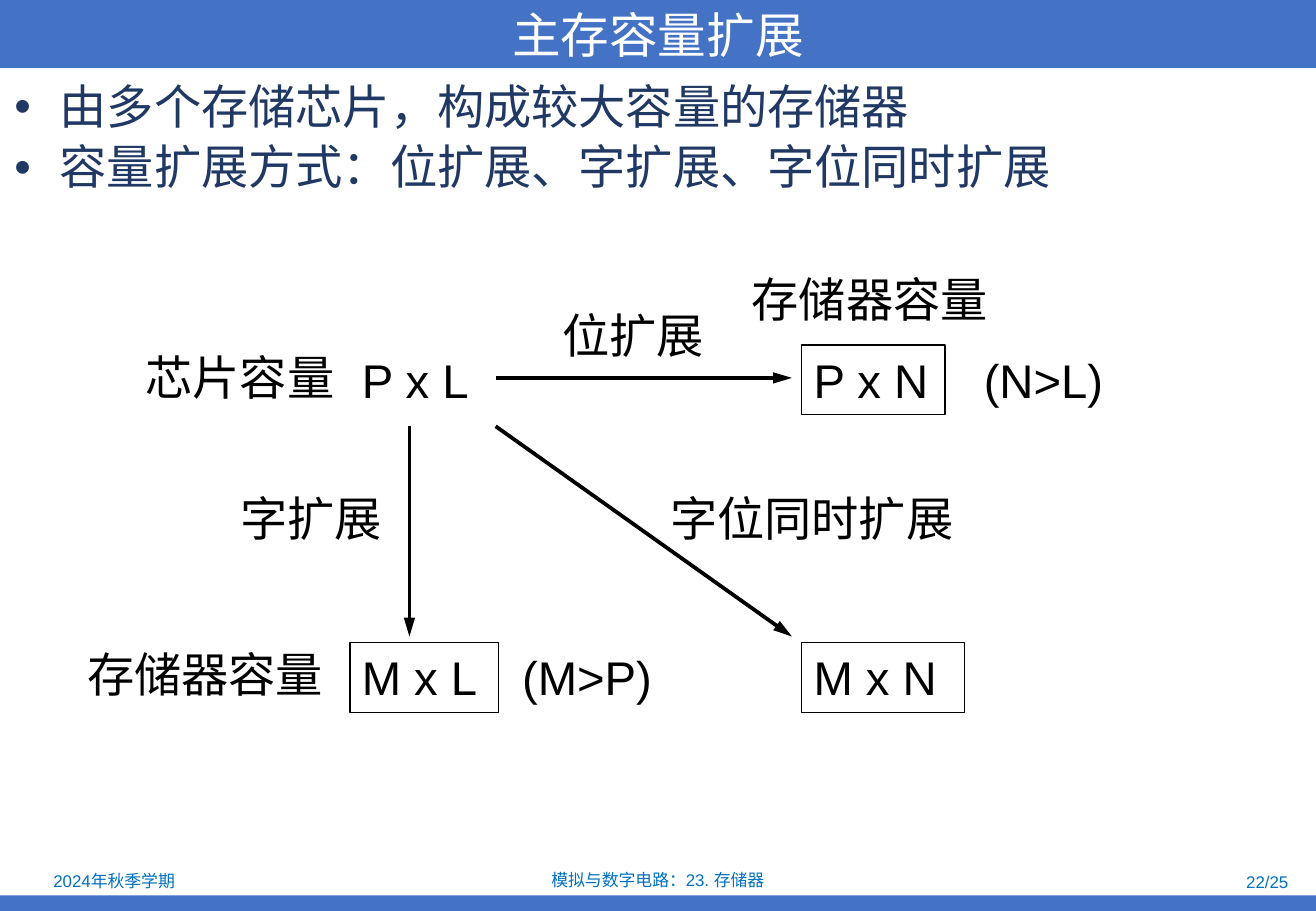
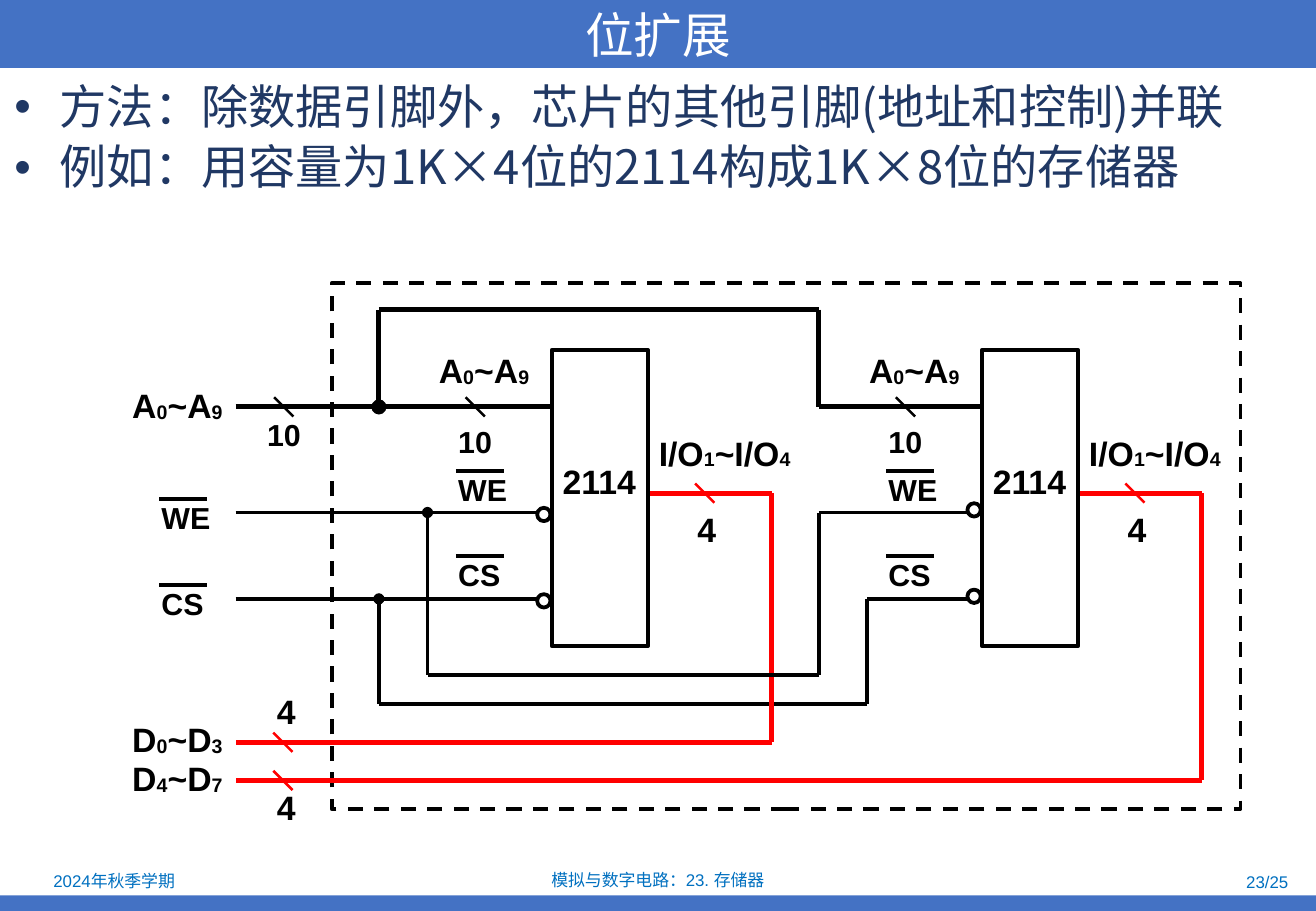
"""Build two lecture slides on extending main memory capacity."""
from itertools import pairwise

from lxml import etree
from pptx import Presentation
from pptx.dml.color import RGBColor
from pptx.enum.dml import MSO_LINE
from pptx.enum.shapes import MSO_CONNECTOR, MSO_SHAPE
from pptx.enum.text import MSO_ANCHOR, MSO_AUTO_SIZE, PP_ALIGN
from pptx.oxml.ns import qn
from pptx.util import Pt

RECT, OVAL = MSO_SHAPE.RECTANGLE, MSO_SHAPE.OVAL
STRAIGHT, DASH = MSO_CONNECTOR.STRAIGHT, MSO_LINE.DASH
TOP, MIDDLE = MSO_ANCHOR.TOP, MSO_ANCHOR.MIDDLE
LEFT, CENTER, RIGHT = PP_ALIGN.LEFT, PP_ALIGN.CENTER, PP_ALIGN.RIGHT
NO_FIT = MSO_AUTO_SIZE.NONE

COLORS = {"band": "4472C4", "footer": "0070C0", "body": "203864",
          "ink": "000000", "data": "FF0000", "paper": "FFFFFF"}
LATIN, CJK = "Arial", "Noto Sans CJK SC"
WIDTH, HEIGHT = 780, 540
TITLE_ONLY = 5
TERM, COURSE, PAGES = "2024年秋季学期", "模拟与数字电路：23. 存储器", 25

CHIP_X = (327, 582)
CHIP_W = 57
BUS_X, IO_REACH = 139.7, 130.3
ADDRESS_Y, WE_Y, CS_Y, IO_Y = 241.2, 303.8, 355, 292.3
LOW_Y, HIGH_Y = 440, 462.6
ADDRESS = ("A", "0", "~A", "9")


def rgb(name):
    """Return the named palette colour."""
    return RGBColor.from_string(COLORS[name])


def style_runs(p, size, color, font=LATIN, bold=False):
    """Format all runs of a paragraph."""
    for r in p.runs:
        r.font.size, r.font.bold, r.font.name = Pt(size), bold, font
        r.font.color.rgb = rgb(color)
        ea = etree.SubElement(r.font._element, qn("a:ea"))
        ea.set("typeface", CJK)


def add_text(s, box, text, size, color="ink", align=LEFT, anchor=TOP,
             bold=False, wrap=False, spacing=None):
    """Add a one-line text box; odd parts of a tuple are lowered."""
    sp = s.shapes.add_textbox(*map(Pt, box))
    tf = sp.text_frame
    tf.word_wrap, tf.vertical_anchor = wrap, anchor
    p = tf.paragraphs[0]
    p.alignment = align
    if spacing:
        p.line_spacing = spacing
    parts = (text,) if isinstance(text, str) else text
    for i, part in enumerate(parts):
        r = p.add_run()
        r.text = part
        if i % 2:
            r.font._element.set("baseline", "-2000")
    style_runs(p, size, color, bold=bold)
    return sp


def add_box(s, box, fill=None, line=None, width=2.25, shape=RECT):
    """Add a preset shape with optional fill and outline."""
    sp = s.shapes.add_shape(shape, *map(Pt, box))
    sp.shadow.inherit = False
    if fill:
        sp.fill.solid()
        sp.fill.fore_color.rgb = rgb(fill)
    else:
        sp.fill.background()
    if line:
        sp.line.color.rgb = rgb(line)
        sp.line.width = Pt(width)
    else:
        sp.line.fill.background()
    return sp


def add_line(s, start, end, color="ink", width=2.25, head=None, tail=None):
    """Add a straight line with optional end marks."""
    sp = s.shapes.add_connector(STRAIGHT, *map(Pt, (*start, *end)))
    sp.line.color.rgb = rgb(color)
    sp.line.width = Pt(width)
    ln = sp.line._get_or_add_ln()
    for tag, mark in (("a:headEnd", head), ("a:tailEnd", tail)):
        if mark:
            end_mark = etree.SubElement(ln, qn(tag))
            end_mark.set("type", mark)
            if mark == "triangle":
                end_mark.set("len", "lg")
    etree.SubElement(sp._element.spPr, qn("a:effectLst"))


def add_wire(s, points, color="ink", width=2.25, dot=False):
    """Join points by straight lines, with a junction dot at the first."""
    for i, (start, end) in enumerate(pairwise(points)):
        add_line(s, start, end, color, width,
                 head="oval" if dot and i == 0 else None)


def add_bullets(s, lines):
    """Add the bulleted text under the title."""
    sp = s.shapes.add_textbox(Pt(1.4), Pt(46), Pt(778), Pt(100))
    tf = sp.text_frame
    tf.word_wrap = True
    tf.text = "\n".join(lines)
    for i, p in enumerate(tf.paragraphs):
        pPr = p._p.get_or_add_pPr()
        pPr.set("marL", str(Pt(27)))
        pPr.set("indent", str(-Pt(27)))
        etree.SubElement(pPr, qn("a:buFont")).set("typeface", LATIN)
        etree.SubElement(pPr, qn("a:buChar")).set("char", "•")
        p.line_spacing = 0.9
        p.space_before = Pt(5.6 if i else 0)
        style_runs(p, 28, "body", CJK)


def add_slide(prs, title, page, bullets):
    """Add a slide with title band, bullets and footer."""
    s = prs.slides.add_slide(prs.slide_layouts[TITLE_ONLY])
    sp = s.shapes.title
    sp.left, sp.top, sp.width, sp.height = map(Pt, (0, 0, WIDTH, 40.3))
    sp.fill.solid()
    sp.fill.fore_color.rgb = rgb("band")
    tf = sp.text_frame
    tf.text = title
    tf.auto_size, tf.vertical_anchor = NO_FIT, MIDDLE
    p = tf.paragraphs[0]
    p.alignment = CENTER
    style_runs(p, 28.8, "paper")
    add_box(s, (0, 530.8, WIDTH, 9.2), fill="band")
    for box, text, align in (
            ((1.4, 513.6, 132.5, 16.6), TERM, CENTER),
            ((266.4, 514.2, 247, 15), COURSE, CENTER),
            ((588.6, 515, 182, 15), f"{page}/{PAGES}", RIGHT)):
        sp = add_text(s, box, text, 10, "footer", align, MIDDLE, wrap=True)
        sp.text_frame.margin_top = sp.text_frame.margin_bottom = 0
    add_bullets(s, bullets)
    return s


def add_expansion_map(s):
    """Draw the three ways from chip capacity to memory capacity."""
    for x, y, w in ((475.2, 204.5, 85), (207.4, 381, 88), (475.2, 381, 96.5)):
        add_box(s, (x, y, w, 41.3), line="ink", width=0.75)
    for start, end in (((293.8, 224), (469.4, 224)),
                       ((242.7, 252.7), (242.7, 377.3)),
                       ((293.8, 252.7), (469.4, 377.3))):
        add_line(s, start, end, tail="triangle")
    for x, y, w, text in (
            (207.4, 204.5, 84, "P x L"), (475.2, 204.5, 90, "P x N"),
            (207.4, 381, 90, "M x L"), (475.2, 381, 96.5, "M x N"),
            (576, 204.5, 96, "(N>L)"), (302.4, 381, 104, "(M>P)"),
            (79.2, 203, 132, "芯片容量"), (326.2, 177.8, 104, "位扩展"),
            (135.4, 286.6, 104, "字扩展"),
            (390.2, 286.6, 188, "字位同时扩展")):
        add_text(s, (x, y, w, 41), text, 28)
    for x, y in ((438.5, 160.6), (44.6, 383)):
        add_text(s, (x, y, 158.4, 37.4), "存储器容量", 28, wrap=True,
                 spacing=0.9)


def add_slash(s, x, y, color="ink"):
    """Mark a bus with a short stroke centred on the wire."""
    add_line(s, (x, y - 5.7), (x + 11.4, y + 5.7), color, 1.5)


def add_label(s, x, y, text, size=20, width=76):
    """Add a bold signal label."""
    add_text(s, (x, y, width, 31 if size == 20 else 29), text, size, bold=True)


def add_active_low(s, x, y, text):
    """Add a signal name with a bar above it."""
    add_label(s, x, y, text, 18, 52)
    add_line(s, (x + 5.7, y + 3.6), (x + 34.1, y + 3.6))


def add_chip(s, x, bubble_y):
    """Draw one memory chip with its pin labels."""
    add_box(s, (x, 207.4, CHIP_W, 175.7), line="ink")
    add_text(s, (x - 11.4, 269.8, 79.2, 31), "2114", 20, align=CENTER,
             bold=True, wrap=True)
    add_label(s, x - 74, 203.8, ADDRESS)
    add_label(s, x - 62.5, 247, "10", 18, 40)
    add_label(s, x + CHIP_W - 0.6, 252.7, ("I/O", "1", "~I/O", "4"), width=100)
    add_label(s, x + 79.2, 298, "4", width=32)
    add_slash(s, x - 51, ADDRESS_Y)
    add_slash(s, x + 85, IO_Y, "data")
    add_active_low(s, x - 62.5, 275.8, "WE")
    add_active_low(s, x - 62.5, 326.2, "CS")
    for y in (bubble_y, bubble_y + 51.2):
        add_box(s, (x - 8.6, y, 7.9, 7.9), "paper", "ink", shape=OVAL)


def add_control(s, y, branch_x, low_y, rise_x):
    """Wire a control signal to both chips."""
    first, second = CHIP_X
    add_wire(s, [(BUS_X, y), (first, y)])
    add_wire(s, [(branch_x, y), (branch_x, low_y), (rise_x, low_y),
                 (rise_x, y), (second, y)], dot=True)


def add_bit_circuit(s):
    """Draw two chips in parallel forming a wider word."""
    first, second = CHIP_X
    add_box(s, (196.6, 167.8, 538.6, 311.8), line="ink").line.dash_style = DASH
    add_wire(s, [(BUS_X, ADDRESS_Y), (first, ADDRESS_Y)], width=3)
    add_wire(s, [(224.6, ADDRESS_Y), (224.6, 183.6), (485.3, 183.6),
                 (485.3, ADDRESS_Y), (second, ADDRESS_Y)], width=3, dot=True)
    add_control(s, CS_Y, 224.6, 417.4, 514)
    for x, y in zip(CHIP_X, (LOW_Y, HIGH_Y)):
        add_wire(s, [(x + CHIP_W, IO_Y), (x + IO_REACH, IO_Y),
                     (x + IO_REACH, y), (BUS_X, y)], "data", 3)
        add_slash(s, 162, y, "data")
    add_control(s, WE_Y, 253.4, 400.3, 485.3)
    add_slash(s, 162.5, ADDRESS_Y)
    for x, bubble_y in zip(CHIP_X, (301, 298.3)):
        add_chip(s, x, bubble_y)
    for y, text in ((224.6, ADDRESS), (422.8, ("D", "0", "~D", "3")),
                    (445.7, ("D", "4", "~D", "7"))):
        add_label(s, 71.3, y, text)
    add_label(s, 151.2, 243.4, "10", 18, 40)
    for y in (406, 463):
        add_label(s, 157, y, "4", width=32)
    add_active_low(s, 88.6, 292.3, "WE")
    add_active_low(s, 88.6, 343.4, "CS")


def main():
    """Build and save the presentation."""
    prs = Presentation()
    prs.slide_width, prs.slide_height = Pt(WIDTH), Pt(HEIGHT)
    add_expansion_map(add_slide(prs, "主存容量扩展", 22, (
        "由多个存储芯片，构成较大容量的存储器",
        "容量扩展方式：位扩展、字扩展、字位同时扩展")))
    add_bit_circuit(add_slide(prs, "位扩展", 23, (
        "方法：除数据引脚外，芯片的其他引脚(地址和控制)并联",
        "例如：用容量为1K×4位的2114构成1K×8位的存储器")))
    prs.save("out.pptx")


if __name__ == "__main__":
    main()
